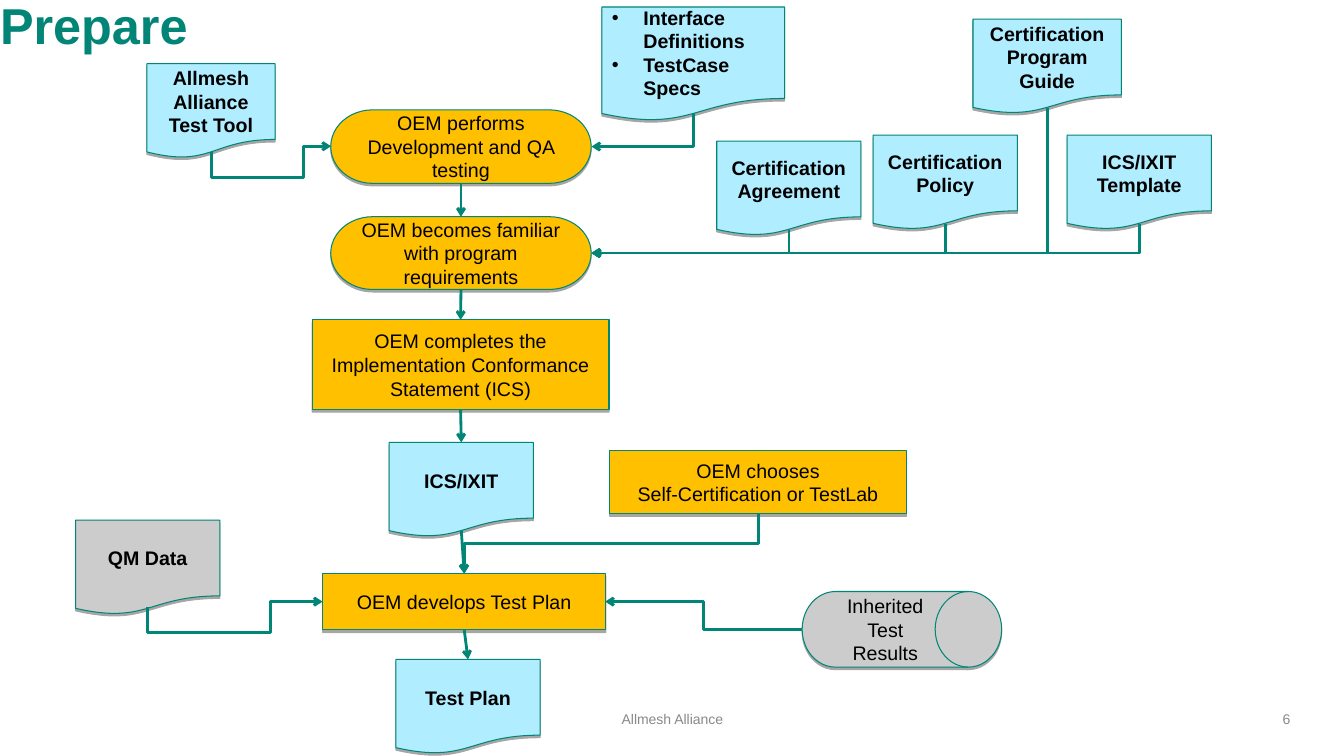
from lxml import etree
from pptx import Presentation
from pptx.dml.color import RGBColor
from pptx.enum import shapes as kinds
from pptx.enum import text as styles
from pptx.oxml import ns
from pptx.util import Pt

TEAL = RGBColor(0x00, 0x85, 0x76)
SKY = RGBColor(0xB0, 0xED, 0xFF)
AMBER = RGBColor(0xFF, 0xC0, 0x00)
SILVER = RGBColor(0xCC, 0xCC, 0xCD)
BLACK = RGBColor(0x00, 0x00, 0x00)
GREY = RGBColor(0x89, 0x89, 0x89)

DOCUMENT = kinds.MSO_SHAPE.FLOWCHART_DOCUMENT
PROCESS = kinds.MSO_SHAPE.FLOWCHART_PROCESS
TERMINATOR = kinds.MSO_SHAPE.FLOWCHART_TERMINATOR
DRUM = kinds.MSO_SHAPE.FLOWCHART_MAGNETIC_DISK
DRUM = kinds.MSO_SHAPE.FLOWCHART_DIRECT_ACCESS_STORAGE

CENTER = styles.PP_ALIGN.CENTER
LEFT = styles.PP_ALIGN.LEFT
RIGHT = styles.PP_ALIGN.RIGHT
TOP, BOTTOM, RIGHT_SIDE = 0, 2, 3
DOC_WIDTH, DOC_HEIGHT = 103, 67.5

# key: (kind, fill, left, top, width, height, paragraphs)
NODES = {
    "tool": (DOCUMENT, SKY, 105, 45.5, 91.5, DOC_HEIGHT, ["Allmesh Alliance Test Tool"]),
    "ics": (PROCESS, AMBER, 223, 228.5, 212, 64,
            ["OEM completes the Implementation Conformance Statement (ICS)"]),
    "inherited": (DRUM, SILVER, 573, 422.5, 142.5, 54, ["Inherited", "Test Results"]),
    "familiar": (TERMINATOR, AMBER, 236.3, 154.8, 186, 52,
                 ["OEM becomes familiar with program requirements"]),
    "develop": (TERMINATOR, AMBER, 236.3, 78.5, 186, 52.5,
                ["OEM performs Development and QA testing"]),
    "policy": (DOCUMENT, SKY, 623.7, 96.5, DOC_WIDTH, DOC_HEIGHT, ["Certification Policy"]),
    "specs": (DOCUMENT, SKY, 430, 5, 130.5, 81.5,
              ["Interface Definitions", "TestCase Specs"]),
    "guide": (DOCUMENT, SKY, 695, 13.7, 106, DOC_HEIGHT, ["Certification Program Guide"]),
    "agreement": (DOCUMENT, SKY, 512, 100.8, DOC_WIDTH, DOC_HEIGHT,
                  ["Certification Agreement"]),
    "template": (DOCUMENT, SKY, 762.3, 96.5, DOC_WIDTH, DOC_HEIGHT, ["ICS/IXIT Template"]),
    "ixit": (DOCUMENT, SKY, 278, 316, DOC_WIDTH, DOC_HEIGHT, ["ICS/IXIT"]),
    "choose": (PROCESS, AMBER, 435.5, 322, 212, 45,
               ["OEM chooses", "Self-Certification or TestLab"]),
    "plan": (PROCESS, AMBER, 230.4, 409.7, 202.4, 40.3, ["OEM develops Test Plan"]),
    "quality": (DOCUMENT, SILVER, 54, 371.5, DOC_WIDTH, DOC_HEIGHT, ["QM Data"]),
    "output": (DOCUMENT, SKY, 282.8, 471, DOC_WIDTH, DOC_HEIGHT, ["Test Plan"]),
}

STEPS = [("develop", "familiar"), ("familiar", "ics"), ("ics", "ixit"), ("plan", "output")]

FAMILIAR_ENTRY = (422.5, 180.8)
CORNERS = [
    ((495.3, 80.8), (422.5, 104.7)),
    ((813.8, 160), FAMILIAR_ENTRY),
    ((748, 77), FAMILIAR_ENTRY),
    ((675.2, 160), FAMILIAR_ENTRY),
    ((563.6, 164.3), FAMILIAR_ENTRY),
]

# start, end, x of the upward turn
DETOURS = [
    ((105.3, 434), (230.4, 429.8), 193.4),
    ((151, 108.7), (236.5, 104.5), 217),
]
DETOUR_DROP = 18


def add_text(frame, paragraphs, size, color, bold=False, align=CENTER):
    frame.word_wrap = True
    for index, line in enumerate(paragraphs):
        paragraph = frame.paragraphs[0] if index == 0 else frame.add_paragraph()
        paragraph.text = line
        paragraph.alignment = align
        font = paragraph.font
        font.name, font.size, font.bold = "Arial", Pt(size), bold
        font.color.rgb = color


def add_label(slide, left, top, width, height, words, size, color, align, bold=False):
    box = slide.shapes.add_textbox(Pt(left), Pt(top), Pt(width), Pt(height))
    frame = box.text_frame
    frame.margin_left = frame.margin_right = Pt(9.4)
    frame.margin_top = frame.margin_bottom = Pt(5)
    add_text(frame, [words], size, color, bold, align)
    return frame


def add_title(slide, words):
    frame = add_label(slide, 0, -0.7, 885, 46, words, 36, TEAL, LEFT, True)
    frame.margin_left = frame.margin_top = 0
    frame.vertical_anchor = styles.MSO_ANCHOR.BOTTOM
    frame.paragraphs[0].line_spacing = 0.95


def add_shadow(shape):
    shape.shadow.inherit = False
    effects = shape._element.spPr.find(ns.qn("a:effectLst"))
    shadow = etree.SubElement(effects, ns.qn("a:outerShdw"), blurRad="0",
                              dist=str(Pt(1.8)), dir="5400000", rotWithShape="0")
    color = etree.SubElement(shadow, ns.qn("a:srgbClr"), val=str(BLACK))
    etree.SubElement(color, ns.qn("a:alpha"), val="35000")


def add_node(slide, kind, fill, left, top, width, height, paragraphs):
    shape = slide.shapes.add_shape(kind, Pt(left), Pt(top), Pt(width), Pt(height))
    shape.fill.solid()
    shape.fill.fore_color.rgb = fill
    shape.line.color.rgb = TEAL
    shape.line.width = Pt(0.75)
    add_shadow(shape)
    shape.text_frame.vertical_anchor = styles.MSO_ANCHOR.MIDDLE
    add_text(shape.text_frame, paragraphs, 14, BLACK, bold=kind == DOCUMENT)
    return shape


def add_bullets(shape):
    for paragraph in shape.text_frame.paragraphs:
        paragraph.alignment = LEFT
        properties = paragraph._p.get_or_add_pPr()
        properties.set("marL", str(Pt(22.5)))
        properties.set("indent", str(Pt(-22.5)))
        etree.SubElement(properties, ns.qn("a:buFont"), typeface="Arial")
        etree.SubElement(properties, ns.qn("a:buChar"), char="•")
        properties.append(properties.find(ns.qn("a:defRPr")))


def add_arrow(slide, start, end, kind=kinds.MSO_CONNECTOR.STRAIGHT):
    connector = slide.shapes.add_connector(kind, *(Pt(value) for value in (*start, *end)))
    connector.line.color.rgb = TEAL
    connector.line.width = Pt(2)
    etree.SubElement(connector.line._get_or_add_ln(), ns.qn("a:tailEnd"), type="arrow")
    etree.SubElement(connector._element.spPr, ns.qn("a:effectLst"))
    return connector


def add_step(slide, upper, lower):
    connector = add_arrow(slide, (0, 0), (0, 0))
    connector.begin_connect(upper, BOTTOM)
    connector.end_connect(lower, TOP)


def add_elbow(slide, start, end, preset, adjustments=()):
    """Elbow that leaves vertically: its frame is laid on its side, then turned by 90°."""
    (x0, y0), (x1, y1) = start, end
    middle_x, middle_y = (x0 + x1) / 2, (y0 + y1) / 2
    half_width, half_height = (y1 - y0) / 2, (x0 - x1) / 2
    connector = add_arrow(slide, (middle_x - half_width, middle_y - half_height),
                          (middle_x + half_width, middle_y + half_height),
                          kinds.MSO_CONNECTOR.ELBOW)
    properties = connector._element.spPr
    properties.find(ns.qn("a:xfrm")).set("rot", "5400000")
    geometry = properties.find(ns.qn("a:prstGeom"))
    geometry.set("prst", preset)
    guides = geometry.find(ns.qn("a:avLst"))
    for number, share in enumerate(adjustments, 1):
        etree.SubElement(guides, ns.qn("a:gd"), name=f"adj{number}",
                         fmla=f"val {round(share * 100000)}")


def add_detour(slide, start, end, turn_x):
    """Arrow that drops, runs right to turn_x, then climbs to its end."""
    drop = -DETOUR_DROP / (start[1] - end[1])
    turn = (turn_x - start[0]) / (end[0] - start[0])
    add_elbow(slide, start, end, "bentConnector4", (drop, turn))


def main():
    presentation = Presentation()
    presentation.slide_width, presentation.slide_height = Pt(960), Pt(540)
    slide = presentation.slides.add_slide(presentation.slide_layouts[6])

    add_label(slide, 361.5, 502.6, 237.6, 21.6, "Allmesh Alliance", 10, GREY, CENTER)
    add_label(slide, 694, 502.6, 237, 21.6, "6", 10, GREY, RIGHT)
    add_title(slide, "Prepare")

    nodes = {key: add_node(slide, *node) for key, node in NODES.items()}
    add_bullets(nodes["specs"])

    for detour in DETOURS:
        add_detour(slide, *detour)
    for start, end in CORNERS:
        add_elbow(slide, start, end, "bentConnector2")
    add_elbow(slide, (541.5, 367), (331.6, 409.7), "bentConnector3", (0.5,))
    add_arrow(slide, (573, 449.8), (432.3, 429.8), kinds.MSO_CONNECTOR.ELBOW)

    for upper, lower in STEPS:
        add_step(slide, nodes[upper], nodes[lower])
    add_arrow(slide, (329.5, 379), (331.6, 409.7)).end_connect(nodes["plan"], TOP)

    presentation.save("out.pptx")


if __name__ == "__main__":
    main()
